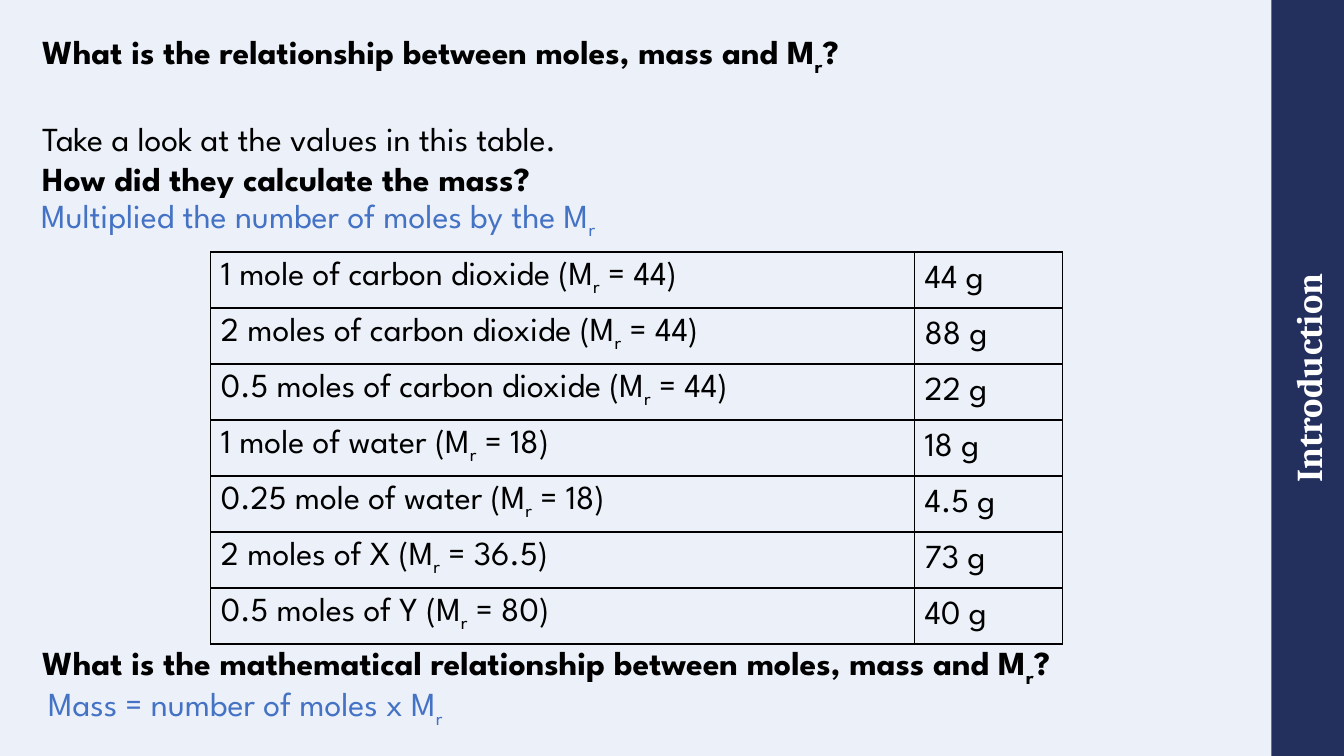
"""Builds the slide on moles, mass and relative formula mass."""
import lxml.etree
import pptx
import pptx.dml.color
import pptx.enum.shapes
import pptx.enum.text
import pptx.oxml.ns
import pptx.util

Inches = pptx.util.Inches
Pt = pptx.util.Pt
RGBColor = pptx.dml.color.RGBColor

BLACK = RGBColor(0x00, 0x00, 0x00)
WHITE = RGBColor(0xFF, 0xFF, 0xFF)
BLUE = RGBColor(0x44, 0x72, 0xC4)
NAVY = RGBColor(0x23, 0x2F, 0x5D)
PALE_BLUE = RGBColor(0xEC, 0xF1, 0xF9)
BODY_FONT = "League Spartan"
SIDEBAR_FONT = "Cambria"

MASSES = [
    ("1 mole of carbon dioxide (M_r_ = 44)", "44 g"),
    ("2 moles of carbon dioxide (M_r_ = 44)", "88 g"),
    ("0.5 moles of carbon dioxide (M_r_ = 44)", "22 g"),
    ("1 mole of water (M_r_ = 18)", "18 g"),
    ("0.25 mole of water (M_r_ = 18)", "4.5 g"),
    ("2 moles of X (M_r_ = 36.5)", "73 g"),
    ("0.5 moles of Y (M_r_ = 80)", "40 g"),
]


def set_font(paragraph, name, size, color, bold=False):
    """Set the font of a whole paragraph."""
    font = paragraph.font
    font.name, font.size, font.bold = name, Pt(size), bold
    font.color.rgb = color


def write_text(paragraph, text, color=BLACK, bold=False):
    """Write text in which parts between underscores are subscripts."""
    for index, part in enumerate(text.split("_")):
        if part:
            run = paragraph.add_run()
            run.text = part
            if index % 2:
                run.font._element.set("baseline", "-25000")
    set_font(paragraph, BODY_FONT, 24, color, bold)


def add_text(slide, left, top, width, lines):
    """Add a text box from (text, color, bold) lines."""
    box = slide.shapes.add_textbox(
        Inches(left), Inches(top), Inches(width), Inches(0.1 + 0.4 * len(lines)))
    frame = box.text_frame
    frame.word_wrap = True
    for index, line in enumerate(lines):
        paragraph = frame.add_paragraph() if index else frame.paragraphs[0]
        write_text(paragraph, *line)


def add_sidebar(slide, title):
    """Add the rotated title band along the right edge."""
    band = slide.shapes.add_shape(
        pptx.enum.shapes.MSO_SHAPE.RECTANGLE,
        Inches(9.22), Inches(3.39), Inches(7.5), Inches(0.72))
    band.rotation = 270
    band.shadow.inherit = False
    band.fill.solid()
    band.fill.fore_color.rgb = NAVY
    band.line.fill.background()
    frame = band.text_frame
    frame.margin_left = frame.margin_right = 0
    frame.margin_top = frame.margin_bottom = 0
    frame.vertical_anchor = pptx.enum.text.MSO_ANCHOR.MIDDLE
    paragraph = frame.paragraphs[0]
    paragraph.text = title
    paragraph.alignment = pptx.enum.text.PP_ALIGN.CENTER
    set_font(paragraph, SIDEBAR_FONT, 26, WHITE, True)


def set_borders(cell):
    """Draw thin black lines on all four sides of a cell."""
    qn = pptx.oxml.ns.qn
    properties = cell._tc.get_or_add_tcPr()
    for index, side in enumerate(("a:lnL", "a:lnR", "a:lnT", "a:lnB")):
        line = lxml.etree.Element(qn(side), w=str(Pt(1)))
        fill = lxml.etree.SubElement(line, qn("a:solidFill"))
        lxml.etree.SubElement(fill, qn("a:srgbClr"), val=str(BLACK))
        properties.insert(index, line)


def add_mass_table(slide, rows):
    """Add the table of amounts and masses."""
    table = slide.shapes.add_table(
        len(rows), 2, Inches(2.09), Inches(2.5),
        Inches(8.45), Inches(0.55 * len(rows))).table
    table.first_row = table.horz_banding = False
    table.columns[0].width = Inches(6.98)
    table.columns[1].width = Inches(1.47)
    for row_index, row in enumerate(rows):
        for column_index, text in enumerate(row):
            cell = table.cell(row_index, column_index)
            cell.fill.background()
            cell.vertical_anchor = pptx.enum.text.MSO_ANCHOR.MIDDLE
            write_text(cell.text_frame.paragraphs[0], text)
            set_borders(cell)


def main():
    """Build and save the slide."""
    presentation = pptx.Presentation()
    presentation.slide_width = Inches(13.33)
    presentation.slide_height = Inches(7.5)
    slide = presentation.slides.add_slide(presentation.slide_layouts[6])
    slide.background.fill.solid()
    slide.background.fill.fore_color.rgb = PALE_BLUE

    add_sidebar(slide, "Introduction")
    add_text(slide, 0.32, 0.26, 12.07, [
        ("What is the relationship between moles, mass and M_r_?", BLACK, True)])
    add_text(slide, 0.32, 1.12, 12.07, [
        ("Take a look at the values in this table.", BLACK, False),
        ("How did they calculate the mass?", BLACK, True)])
    add_text(slide, 0.31, 1.88, 7.23, [
        ("Multiplied the number of moles by the M_r_", BLUE, False)])
    add_mass_table(slide, MASSES)
    add_text(slide, 0.32, 6.32, 12.07, [
        ("What is the mathematical relationship between moles, mass and M_r_?",
         BLACK, True)])
    add_text(slide, 0.38, 6.73, 5.05, [
        ("Mass = number of moles x M_r_", BLUE, False)])
    presentation.save("out.pptx")


if __name__ == "__main__":
    main()
